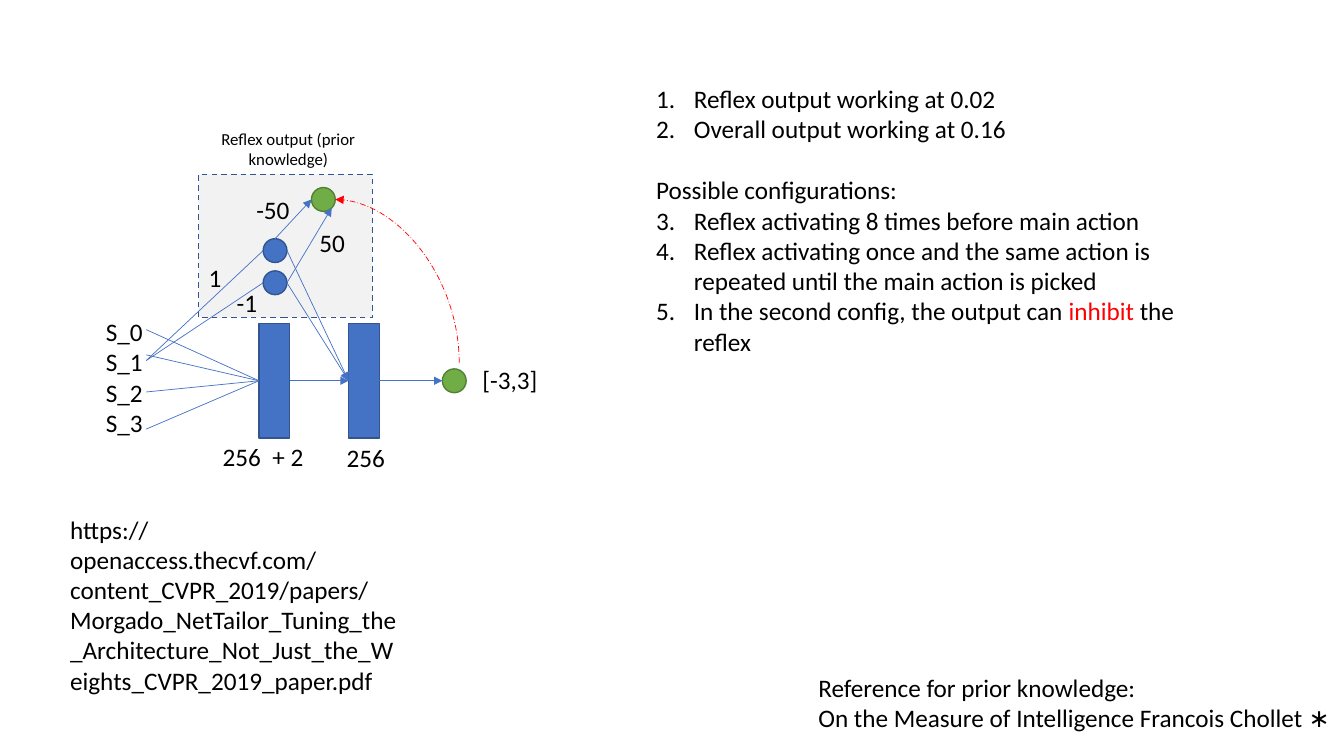
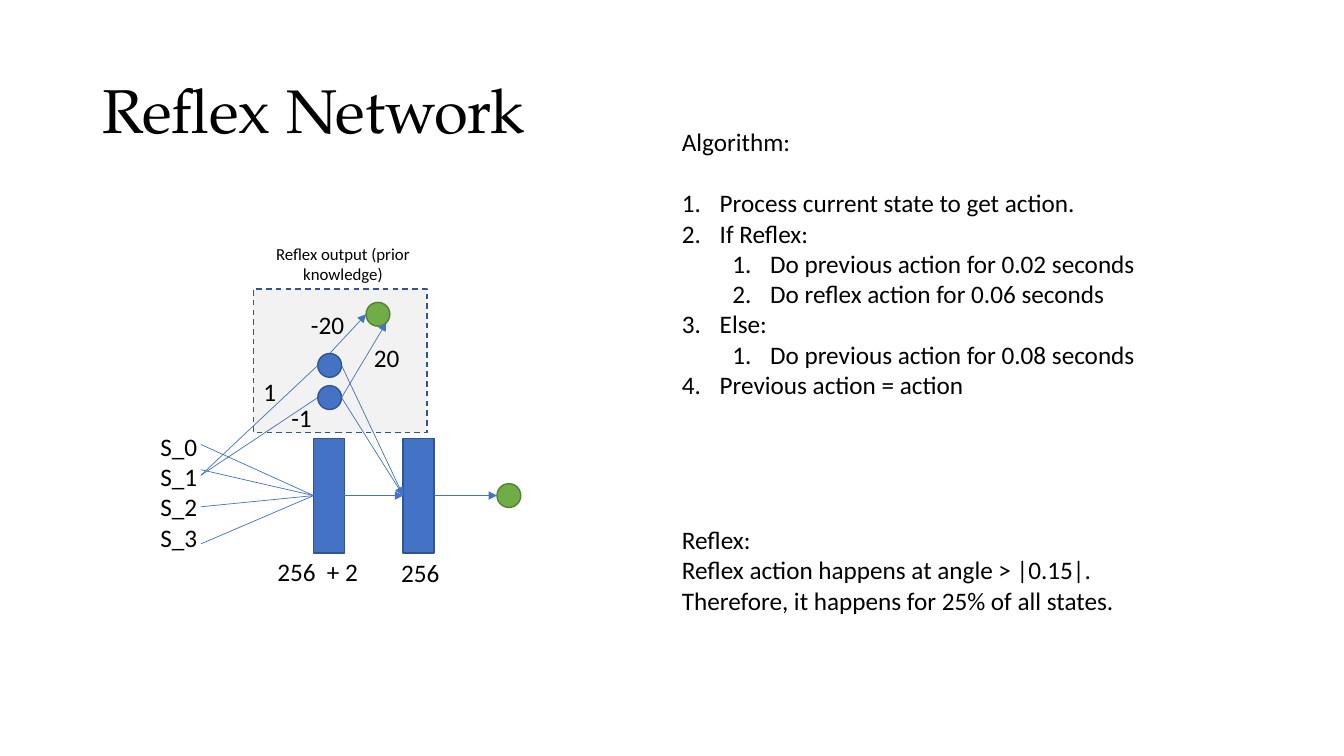
from dataclasses import dataclass

from lxml import etree
from pptx import Presentation
from pptx.dml import color as dml
from pptx.enum import dml as line_styles, shapes, text
from pptx.oxml import ns
from pptx.util import Pt

BLACK, RED = "000000", "FF0000"
BLUE, BLUE_EDGE = "4472C4", "325491"
GREEN, GREEN_EDGE = "70AD47", "538035"
PALE = "F2F2F2"
BODY_FONT, TITLE_FONT = "Calibri", "TeX Gyre Pagella"
BLANK_LINE = 22
NUMBER_INDENT, LEVEL_INDENT = 27, 36
NODE_SIZE = 17
LAYER_WIDTH, LAYER_HEIGHT = 22, 82
# Attachment points as fractions of a shape's box; 0-3 are the side middles
TOP, LEFT, BOTTOM, RIGHT, LOWER_RIGHT = range(5)
SITES = [(.5, 0), (0, .5), (.5, 1), (1, .5), (.85, .85)]


def rgb(hex_code):
    return dml.RGBColor.from_string(hex_code)


def add_xml(parent, tag, **attributes):
    return etree.SubElement(parent, ns.qn(tag), attributes)


def set_all(target, values):
    for name, value in values.items():
        setattr(target, name, value)


@dataclass
class Para:
    """A paragraph: a string or (string, colour) runs, numbered if depth is set."""
    content: object
    depth: int = None
    gap: int = 0
    start: int = 1


class Deck:
    """Holds the style, the current slide and the origin of its elements."""

    def __init__(self):
        self.prs = Presentation()
        set_all(self.prs, {"slide_width": Pt(960), "slide_height": Pt(540)})

    def new_slide(self, title=None):
        layout = self.prs.slide_layouts[6 if title is None else 5]
        self.slide = self.prs.slides.add_slide(layout)
        self.end_group()
        if title is not None:
            self.title(title)

    def begin_group(self, x, y):
        self.canvas, self.origin = self.slide.shapes.add_group_shape().shapes, (x, y)

    def end_group(self):
        self.canvas, self.origin = self.slide.shapes, (0, 0)

    def place(self, x, y):
        return Pt(x + self.origin[0]), Pt(y + self.origin[1])

    def title(self, wording):
        heading = self.slide.shapes.title
        set_all(heading, {"left": Pt(66), "top": Pt(29), "width": Pt(828), "height": Pt(104)})
        heading.text_frame.vertical_anchor = text.MSO_ANCHOR.MIDDLE
        line = heading.text_frame.paragraphs[0]
        set_all(line, {"alignment": text.PP_ALIGN.LEFT, "line_spacing": .9})
        self.run(line, wording, 44, BLACK, TITLE_FONT)

    def run(self, paragraph, wording, size, color, font=BODY_FONT):
        piece = paragraph.add_run()
        piece.text = wording
        set_all(piece.font, {"name": font, "size": Pt(size), "bold": False})
        piece.font.color.rgb = rgb(color)

    def text(self, x, y, width, height, paras, size=18, align=text.PP_ALIGN.LEFT):
        frame = self.canvas.add_textbox(*self.place(x, y), Pt(width), Pt(height)).text_frame
        set_all(frame, {"word_wrap": True, "auto_size": text.MSO_AUTO_SIZE.SHAPE_TO_FIT_TEXT})
        for index, para in enumerate(paras):
            para = para if isinstance(para, Para) else Para(para)
            line = frame.add_paragraph() if index else frame.paragraphs[0]
            set_all(line, {"alignment": align, "space_before": Pt(para.gap)})
            if para.depth is not None:
                self.number(line, para)
            runs = [(para.content, BLACK)] if isinstance(para.content, str) else para.content
            for wording, color in runs:
                self.run(line, wording, size, color)

    def number(self, line, para):
        line.level = para.depth
        properties = line._p.get_or_add_pPr()
        properties.set("marL", str(Pt(NUMBER_INDENT + LEVEL_INDENT * para.depth)))
        properties.set("indent", str(-Pt(NUMBER_INDENT)))
        numbering = add_xml(properties, "a:buAutoNum", type="arabicPeriod")
        if para.start > 1:
            numbering.set("startAt", str(para.start))

    def shape(self, kind, x, y, width, height, fill, edge, dash=None):
        item = self.canvas.add_shape(kind, *self.place(x, y), Pt(width), Pt(height))
        item.shadow.inherit = False
        item.fill.solid()
        item.fill.fore_color.rgb = rgb(fill)
        item.line.color.rgb = rgb(edge)
        set_all(item.line, {"width": Pt(1), "dash_style": dash})
        return item

    def node(self, x, y, fill=BLUE, edge=BLUE_EDGE):
        return self.shape(shapes.MSO_SHAPE.OVAL, x, y, NODE_SIZE, NODE_SIZE, fill, edge)

    def layer(self, x, y):
        return self.shape(shapes.MSO_SHAPE.RECTANGLE, x, y, LAYER_WIDTH, LAYER_HEIGHT,
                          BLUE, BLUE_EDGE)

    def point(self, end):
        """Resolve an (x, y) or (shape, site) end to slide coordinates."""
        owner, site = end
        if isinstance(owner, (int, float)):
            return self.place(owner, site)
        across, down = SITES[site]
        return (int(owner.left + owner.width * across), int(owner.top + owner.height * down))

    def style_line(self, connector, color, arrow, dash=None):
        connector.line.color.rgb = rgb(color)
        set_all(connector.line, {"width": Pt(.5), "dash_style": dash})
        if arrow:
            add_xml(connector.line._get_or_add_ln(), "a:tailEnd", type="triangle")
        add_xml(connector._element.spPr, "a:effectLst")

    def line(self, start, end, arrow=False):
        connector = self.canvas.add_connector(
            shapes.MSO_CONNECTOR.STRAIGHT, *self.point(start), *self.point(end))
        for (owner, site), join in ((start, connector.begin_connect),
                                    (end, connector.end_connect)):
            if getattr(owner, "auto_shape_type", None) == shapes.MSO_SHAPE.RECTANGLE:
                join(owner, site)
        self.style_line(connector, BLUE, arrow)

    def arc(self, start, end, color, dash):
        """Quarter curve that leaves upwards and arrives from the right."""
        (x1, y1), (x2, y2) = self.point(start), self.point(end)
        middle_x, middle_y = (x1 + x2) // 2, (y1 + y2) // 2
        half_w, half_h = abs(y1 - y2) // 2, abs(x1 - x2) // 2
        connector = self.canvas.add_connector(
            shapes.MSO_CONNECTOR.CURVE, middle_x - half_w, middle_y + half_h,
            middle_x + half_w, middle_y - half_h)
        connector.rotation = 270
        connector._element.spPr.find(ns.qn("a:prstGeom")).set("prst", "curvedConnector2")
        self.style_line(connector, color, True, dash)


def draw_network(deck, x, y, weight, inhibition=False):
    """Reflex network, measured from the corner of its dashed frame."""
    deck.begin_group(x, y)
    deck.shape(shapes.MSO_SHAPE.RECTANGLE, 0, 0, 124, 102.5, PALE, BLUE_EDGE,
               line_styles.MSO_LINE.DASH)

    # Nodes and layers
    positive, negative = deck.node(46, 46), deck.node(46, 69)
    reflex = deck.node(80.5, 9.5, GREEN, GREEN_EDGE)
    hidden, merged = deck.layer(43, 106.5), deck.layer(107, 106.5)
    action = deck.node(174, 139, GREEN, GREEN_EDGE)

    # Connections
    for feed_y in (111, 129, 155.5, 182):
        deck.line((-37.5, feed_y), (hidden, LEFT))
    for neuron in (positive, negative):
        deck.line((-37.5, 133), (neuron, LEFT))
        deck.line((neuron, RIGHT), (merged, LEFT), arrow=True)
    deck.line((positive, TOP), (reflex, LEFT), arrow=True)
    deck.line((negative, RIGHT), (reflex, LOWER_RIGHT), arrow=True)
    deck.line((hidden, RIGHT), (merged, LEFT), arrow=True)
    deck.line((merged, RIGHT), (action, LEFT), arrow=True)
    if inhibition:
        deck.arc((186, 134.5), (reflex, RIGHT), RED, line_styles.MSO_LINE.LONG_DASH_DOT)

    # Labels
    deck.text(-73.5, 98, 45, 94.5, [f"S_{index}" for index in range(4)])
    for label_x, label_y, width, label in (
            (0, 59, 45, "1"), (20, 77.5, 45, "-1"),
            (34, 11, 45, f"-{weight}"), (79, 34.5, 45, f"{weight}"),
            (10, 187, 93, "256  + 2"), (98.5, 188, 93, "256")):
        deck.text(label_x, label_y, width, 29, [label])
    deck.text(3, -36, 122, 36, ["Reflex output (prior knowledge)"], 12, text.PP_ALIGN.CENTER)
    deck.end_group()


def build_configurations(deck):
    deck.new_slide()
    draw_network(deck, 142, 124.5, 50, inhibition=True)
    deck.text(337.5, 257, 95, 29, ["[-3,3]"])
    deck.text(461.5, 56, 400, 203, [
        Para("Reflex output working at 0.02", 0),
        Para("Overall output working at 0.16", 0),
        Para("Possible configurations:", gap=BLANK_LINE),
        Para("Reflex activating 8 times before main action", 0, start=3),
        Para("Reflex activating once and the same action is repeated until "
             "the main action is picked", 0, start=3),
        Para([("In the second config, the output can ", BLACK), ("inhibit", RED),
              (" the reflex", BLACK)], 0, start=3),
    ])
    deck.text(43, 363.5, 251, 139, [
        "https://openaccess.thecvf.com/content_CVPR_2019/papers/Morgado_NetTailor_Tuning_"
        "the_Architecture_Not_Just_the_Weights_CVPR_2019_paper.pdf"])
    deck.text(577.5, 476.5, 382, 51, [
        "Reference for prior knowledge:",
        "On the Measure of Intelligence Francois Chollet ∗"])


def build_algorithm(deck):
    deck.new_slide("Reflex Network")
    draw_network(deck, 181, 206.5, 20)
    deck.text(480, 87, 367, 204, [
        "Algorithm:",
        Para("Process current state to get action.", 0, gap=BLANK_LINE),
        Para("If Reflex:", 0),
        Para("Do previous action for 0.02 seconds", 1),
        Para("Do reflex action for 0.06 seconds", 1),
        Para("Else:", 0),
        Para("Do previous action for 0.08 seconds", 1),
        Para("Previous action = action", 0),
    ])
    deck.text(480, 371, 367, 73, [
        "Reflex:",
        "Reflex action happens at angle > |0.15|.",
        "Therefore, it happens for 25% of all states."])


def main():
    deck = Deck()
    build_configurations(deck)
    build_algorithm(deck)
    deck.prs.save("out.pptx")


if __name__ == "__main__":
    main()
